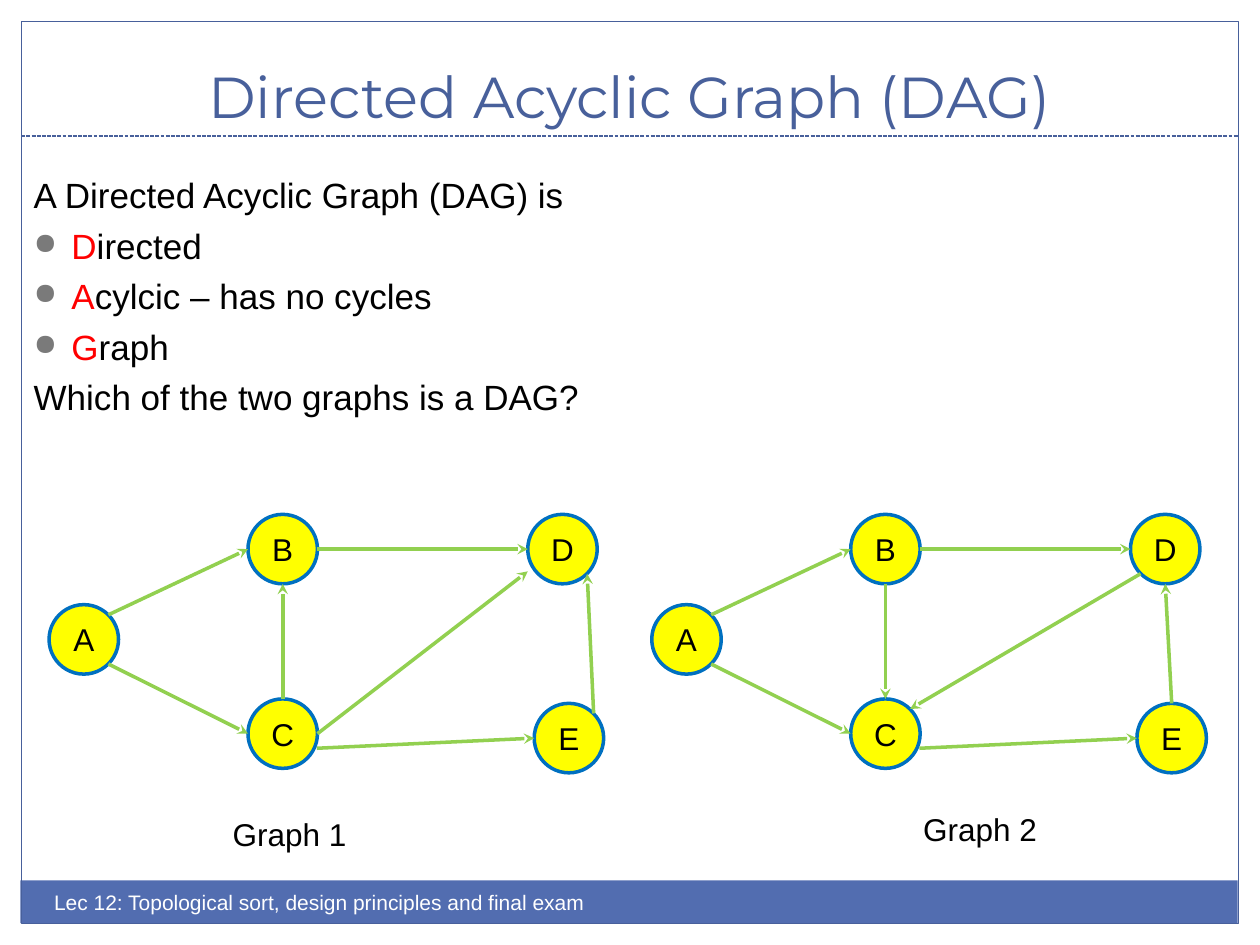
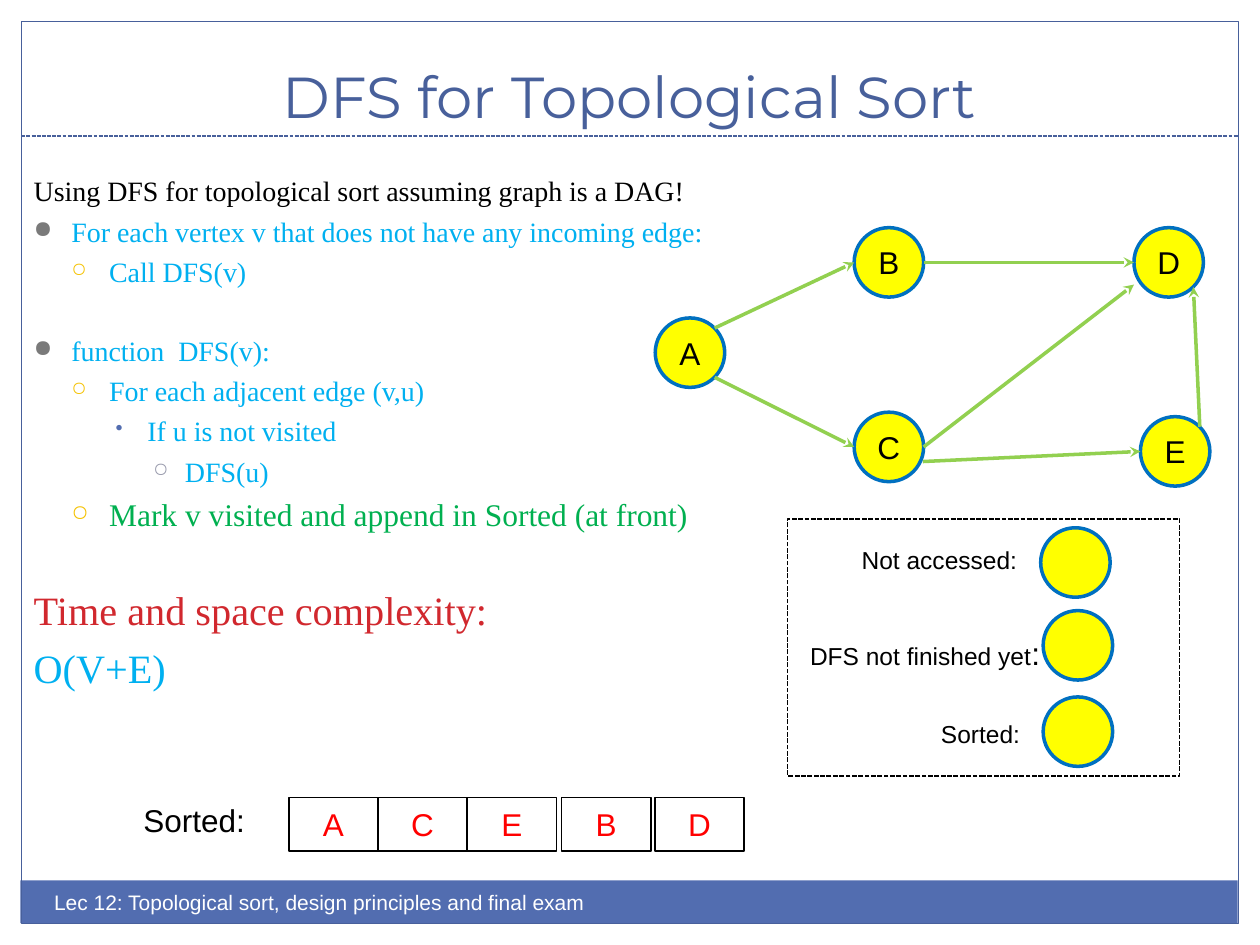
from dataclasses import dataclass

from lxml import etree
from pptx import Presentation
from pptx import util as u
from pptx.dml.color import RGBColor
from pptx.enum import dml, shapes, text
from pptx.oxml.ns import qn
from pptx.util import Cm


@dataclass(frozen=True)
class Theme:
    frame: str = "48609B"
    band: str = "526DB0"
    white: str = "FFFFFF"
    ink: str = "000000"
    red: str = "FF0000"
    crimson: str = "D1282E"
    blue: str = "00B0F0"
    green: str = "00B050"
    node: str = "FFFF00"
    node_ring: str = "0070C0"
    edge: str = "92D050"
    title_font: str = "Montserrat"
    sans: str = "Arial"
    serif: str = "Times New Roman"
    title_size: int = 33
    headline_size: int = 23
    body_size: int = 20
    label_size: int = 18
    code_size: int = 16
    legend_size: int = 14
    footer_size: int = 12


THEME = Theme()
FOOTER = "Lec 12: Topological sort, design principles and final exam"

# level: symbol, colour, size in percent, indent and hanging in cm
BULLETS = {
    1: ("●", "7A7A7A", 85, 0.76, 0.76),
    2: ("○", "F5C201", 70, 1.52, 0.76),
    3: ("•", "526DB0", 75, 2.29, 0.64),
    4: ("○", "989AAC", 70, 3.05, 0.64),
}

# Vertex positions in cm from the upper left corner of a graph
RADIUS = 0.7
VERTICES = {"A": (0, 1.82), "B": (4.01, 0), "C": (4.01, 3.72),
            "D": (9.65, 0), "E": (9.78, 3.81)}

# Points around a vertex, in radii from its centre
DIAGONAL = 0.71
SITES = {
    "top": (0, -1), "bottom": (0, 1), "left": (-1, 0), "right": (1, 0),
    "upper right": (DIAGONAL, -DIAGONAL), "lower right": (DIAGONAL, DIAGONAL),
    "lower left": (-DIAGONAL, DIAGONAL),
    "right below": (0.98, 0.42), "left below": (-1, 0.64),
}
COMMON_EDGES = [
    ("A", "upper right", "B", "left"),
    ("A", "lower right", "C", "left"),
    ("B", "right", "D", "left"),
    ("C", "right below", "E", "left"),
]
SORTABLE_EDGES = COMMON_EDGES + [
    ("E", "upper right", "D", "lower right"),
    ("C", "right", "D", "left below"),
]
ACYCLIC_EDGES = SORTABLE_EDGES + [("C", "top", "B", "bottom")]
CYCLIC_EDGES = COMMON_EDGES + [
    ("E", "top", "D", "bottom"),
    ("D", "lower left", "C", "upper right"),
    ("B", "bottom", "C", "top"),
]


@dataclass
class Line:
    """A body paragraph: (text, colour) runs, bullet level and type size."""
    runs: list
    level: int = 0
    size: int = THEME.code_size
    gap: float = 0  # points above; 0 means the usual share of the size


class Deck:
    def __init__(self, theme):
        self.theme = theme
        self.presentation = Presentation()
        self.presentation.slide_width = Cm(25.4)
        self.presentation.slide_height = Cm(19.05)
        self.slide = None

    def new_slide(self, title):
        t = self.theme
        self.slide = self.presentation.slides.add_slide(
            self.presentation.slide_layouts[6])
        self.shape("RECTANGLE", 0.41, 17.75, 24.54, 0.86, fill=t.band)
        self.shape("RECTANGLE", 0.43, 0.43, 24.54, 18.19, line=t.frame, weight=0.75)
        rule = self.connector((0.43, 2.74), (24.97, 2.74), t.frame, 0.75)
        rule.line.dash_style = dml.MSO_LINE.SQUARE_DOT
        heading = self.label(title, 0.84, 0.64, 23.7, 2.11,
                             t.title_size, t.frame, t.title_font)
        heading.vertical_anchor = text.MSO_ANCHOR.BOTTOM
        heading.paragraphs[0].alignment = text.PP_ALIGN.CENTER
        self.label(FOOTER, 0.84, 17.81, 12.7, 1.02, t.footer_size, t.white)

    def format_run(self, run, size, color, font):
        run.font.size = u.Pt(size)
        run.font.name = font
        run.font.color.rgb = RGBColor.from_string(color)

    def shape(self, kind, left, top, width, height, fill=None, line=None, weight=1.0):
        shape = self.slide.shapes.add_shape(
            shapes.MSO_SHAPE[kind], Cm(left), Cm(top), Cm(width), Cm(height))
        shape.shadow.inherit = False
        if fill:
            shape.fill.solid()
            shape.fill.fore_color.rgb = RGBColor.from_string(fill)
        else:
            shape.fill.background()
        if line:
            shape.line.color.rgb = RGBColor.from_string(line)
            shape.line.width = u.Pt(weight)
        else:
            shape.line.fill.background()
        return shape

    def caption(self, shape, words, color):
        """Centre a short text in a shape."""
        frame = shape.text_frame
        frame.margin_left = frame.margin_right = 0
        frame.margin_top = frame.margin_bottom = 0
        frame.vertical_anchor = text.MSO_ANCHOR.MIDDLE
        frame.text = words
        frame.paragraphs[0].alignment = text.PP_ALIGN.CENTER
        self.format_run(frame.paragraphs[0].runs[0], self.theme.label_size,
                        color, self.theme.sans)

    def text_box(self, left, top, width, height):
        frame = self.slide.shapes.add_textbox(
            Cm(left), Cm(top), Cm(width), Cm(height)).text_frame
        frame.word_wrap = True
        return frame

    def label(self, words, left, top, width, height=1.02,
              size=THEME.label_size, color=THEME.ink, font=THEME.sans):
        frame = self.text_box(left, top, width, height)
        frame.text = words
        self.format_run(frame.paragraphs[0].runs[0], size, color, font)
        return frame

    def bullet(self, paragraph, level):
        symbol, color, percent, indent, hanging = BULLETS[level]
        props = paragraph._p.get_or_add_pPr()
        props.set("marL", str(Cm(indent)))
        props.set("indent", str(-Cm(hanging)))
        tint = etree.SubElement(props, qn("a:buClr"))
        etree.SubElement(tint, qn("a:srgbClr"), val=color)
        etree.SubElement(props, qn("a:buSzPct"), val=str(percent * 1000))
        etree.SubElement(props, qn("a:buChar"), char=symbol)

    def body(self, lines, width, height, font):
        frame = self.text_box(0.43, 3.38, width, height)
        for index, line in enumerate(lines):
            paragraph = frame.add_paragraph() if index else frame.paragraphs[0]
            if line.level:
                self.bullet(paragraph, line.level)
            if index:
                paragraph.space_before = u.Pt(line.gap or round(line.size * 0.24, 1))
            for words, color in line.runs:
                run = paragraph.add_run()
                run.text = words
                self.format_run(run, line.size, color, font)

    def connector(self, start, end, color, weight):
        connector = self.slide.shapes.add_connector(
            shapes.MSO_CONNECTOR.STRAIGHT, *map(Cm, start + end))
        connector.line.color.rgb = RGBColor.from_string(color)
        connector.line.width = u.Pt(weight)
        etree.SubElement(connector._element.spPr, qn("a:effectLst"))
        return connector

    def arrow(self, start, end):
        arrow = self.connector(start, end, self.theme.edge, 2)
        outline = arrow._element.spPr.find(qn("a:ln"))
        etree.SubElement(outline, qn("a:tailEnd"), type="stealth")

    def vertex(self, left, top, name=""):
        circle = self.shape("OVAL", left, top, 2 * RADIUS, 2 * RADIUS,
                            self.theme.node, self.theme.node_ring, 2)
        if name:
            self.caption(circle, name, self.theme.ink)

    def graph(self, left, top, edges):
        def site(name, side):
            x, y = VERTICES[name]
            dx, dy = SITES[side]
            return left + x + RADIUS * (1 + dx), top + y + RADIUS * (1 + dy)

        for name, (x, y) in VERTICES.items():
            self.vertex(left + x, top + y, name)
        for source, leaving, target, entering in edges:
            self.arrow(site(source, leaving), site(target, entering))


def dag_slide(deck):
    t = deck.theme
    deck.new_slide("Directed Acyclic Graph (DAG)")
    initials = [("D", "irected"), ("A", "cylcic – has no cycles"), ("G", "raph")]
    lines = [Line([("A Directed Acyclic Graph (DAG) is", t.ink)], size=t.body_size)]
    lines += [Line([(initial, t.red), (rest, t.ink)], 1, t.body_size)
              for initial, rest in initials]
    lines.append(Line([("Which of the two graphs is a DAG?", t.ink)], size=t.body_size))
    deck.body(lines, 24.33, 12.7, t.sans)
    deck.graph(13.14, 10.37, CYCLIC_EDGES)
    deck.graph(0.99, 10.37, ACYCLIC_EDGES)
    deck.label("Graph 1", 4.44, 16.31, 3)
    deck.label("Graph 2", 18.36, 16.21, 3)


def topological_sort_slide(deck):
    t = deck.theme
    deck.new_slide("DFS for Topological Sort")
    deck.body([
        Line([("Using DFS for topological sort assuming graph is a DAG!", t.ink)]),
        Line([("For each vertex v that does not have any incoming edge:", t.blue)], 1),
        Line([("Call DFS(v)", t.blue)], 2),
        Line([("function  DFS(v):", t.blue)], 1, gap=26),
        Line([("For each adjacent edge (v,u)", t.blue)], 2),
        Line([("If u is not visited", t.blue)], 3),
        Line([("DFS(u)", t.blue)], 4),
        Line([("Mark v visited and append in Sorted (at front)", t.green)],
             2, t.label_size),
        Line([("Time and space complexity:", t.crimson)], size=t.headline_size, gap=30),
        Line([("O(V+E)", t.blue)], size=t.headline_size),
    ], 15.93, 9.96, t.serif)
    deck.graph(13.21, 4.59, SORTABLE_EDGES)

    deck.label("Sorted:", 2.64, 16.03, 2.8)
    cell_width, cell_left = 1.8, 5.82
    for name, gap in zip("ACEBD", (0, 0, 0.1, 0.08, 0)):
        cell = deck.shape("RECTANGLE", cell_left, 16.08, cell_width, 1.07, line=t.ink)
        deck.caption(cell, name, t.red)
        cell_left += cell_width + gap

    for left, top in ((20.98, 10.64), (21.03, 12.31), (21.03, 14.05)):
        deck.vertex(left, top)
    deck.label("Not accessed:", 17.12, 10.87, 3.8, 0.86, t.legend_size)
    unfinished = deck.label("DFS not finished yet", 16.08, 12.65, 5.4,
                            size=t.legend_size)
    colon = unfinished.paragraphs[0].add_run()
    colon.text = ":"
    deck.format_run(colon, t.label_size, t.ink, t.sans)
    deck.label("Sorted:", 18.72, 14.38, 2.3, 0.86, t.legend_size)
    legend = deck.shape("RECTANGLE", 15.88, 10.46, 7.9, 5.18, line=t.ink, weight=0.9)
    legend.line.dash_style = dml.MSO_LINE.SQUARE_DOT


def main():
    deck = Deck(THEME)
    dag_slide(deck)
    topological_sort_slide(deck)
    deck.presentation.save("out.pptx")


if __name__ == "__main__":
    main()
